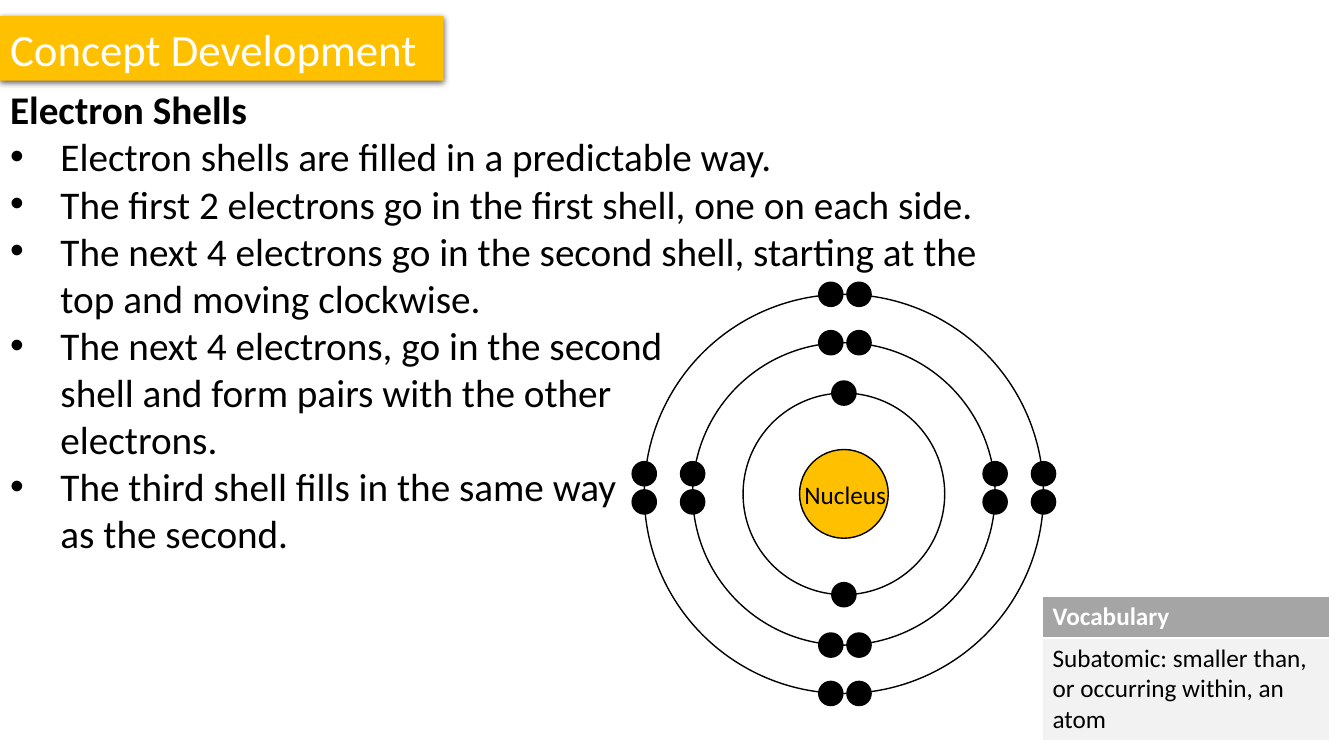
from copy import deepcopy

from lxml import etree
from pptx import Presentation
from pptx.dml.color import RGBColor
from pptx.enum.shapes import MSO_SHAPE as Shape
from pptx.enum.text import MSO_ANCHOR as Anchor, MSO_AUTO_SIZE as AutoSize, PP_ALIGN as Align
from pptx.oxml import parse_xml
from pptx.oxml.ns import qn
from pptx.util import Pt

PX = 9144  # EMU per px, 100 px to the inch
FONT = "Calibri"
COLORS = {"gold": "FFC000", "black": "000000", "white": "FFFFFF",
          "head": "A5A5A5", "cell": "F2F2F2"}
NS = 'xmlns:a="http://schemas.openxmlformats.org/drawingml/2006/main"'
RULES = [
    "Electron shells are filled in a predictable way.",
    "The first 2 electrons go in the first shell, one on each side.",
    "The next 4 electrons go in the second shell, starting at the top and moving clockwise.",
    "The next 4 electrons, go in the second\vshell and form pairs with the other\velectrons.",
    "The third shell fills in the same way\vas the second.",
]


def color(name):
    return RGBColor.from_string(COLORS[name])


def place(part, box):
    part.left, part.top, part.width, part.height = (n * PX for n in box)


def write(paragraph, text, size, ink="black", bold=False, bullet=False):
    """Fill a paragraph; a vertical tab in the text makes a line break."""
    paragraph.text = text
    paragraph.alignment = Align.LEFT
    paragraph.line_spacing = 1.0
    paragraph.space_before = paragraph.space_after = Pt(0)
    props = paragraph._p.get_or_add_pPr()
    indent = 50 * PX if bullet else 0
    props.set("marL", str(indent))
    props.set("indent", str(-indent))
    if bullet:
        etree.SubElement(props, qn("a:buFont")).set("typeface", "Arial")
        etree.SubElement(props, qn("a:buChar")).set("char", "•")
    else:
        etree.SubElement(props, qn("a:buNone"))
    for run in paragraph.runs:
        run.font.name, run.font.size, run.font.bold = FONT, Pt(size), bold
        run.font.color.rgb = color(ink)
    # Line breaks take the size of the text around them
    for line_break in paragraph._p.findall(qn("a:br")):
        line_break.append(deepcopy(paragraph.runs[0]._r.rPr))


def frame_of(part, wrap=True, anchor=Anchor.TOP):
    frame = part.text_frame
    frame.word_wrap, frame.auto_size, frame.vertical_anchor = wrap, AutoSize.NONE, anchor
    return frame


def banner(title, box):
    """Title on a gold arrow with a soft shadow below."""
    place(title, box)
    props = title._element.spPr
    props.append(parse_xml(f'<a:prstGeom {NS} prst="homePlate"><a:avLst/></a:prstGeom>'))
    title.fill.solid()
    title.fill.fore_color.rgb = color("gold")
    props.append(parse_xml(
        f'<a:effectLst {NS}><a:outerShdw blurRad="57150" dist="19050" dir="5400000"'
        ' algn="ctr" rotWithShape="0"><a:srgbClr val="000000"><a:alpha val="63000"/>'
        '</a:srgbClr></a:outerShdw></a:effectLst>'))
    frame = frame_of(title, wrap=False, anchor=Anchor.MIDDLE)
    write(frame.paragraphs[0], "Concept Development", size=32, ink="white")


def lesson(body, box):
    """Heading and bulleted rules."""
    place(body, box)
    frame = frame_of(body)
    write(frame.paragraphs[0], "Electron Shells", size=28, bold=True)
    for rule in RULES:
        write(frame.add_paragraph(), rule, size=28, bullet=True)


def vocabulary(slide, box):
    rows = [("Vocabulary", "head", "white", True, 41),
            ("Subatomic: smaller than, or occurring within, an atom", "cell", "black", False, 100)]
    table = slide.shapes.add_table(len(rows), 1, *(n * PX for n in box)).table
    table.horz_banding = False
    for index, (text, fill, ink, bold, height) in enumerate(rows):
        table.rows[index].height = height * PX
        cell = table.cell(index, 0)
        cell.fill.solid()
        cell.fill.fore_color.rgb = color(fill)
        write(cell.text_frame.paragraphs[0], text, size=18, ink=ink, bold=bold)


def circle(slide, x, y, radius, fill=None):
    disc = slide.shapes.add_shape(Shape.OVAL, (x - radius) * PX, (y - radius) * PX,
                                  2 * radius * PX, 2 * radius * PX)
    disc.shadow.inherit = False
    disc.line.color.rgb = color("black")
    disc.line.width = Pt(1)
    if fill:
        disc.fill.solid()
        disc.fill.fore_color.rgb = color(fill)
    else:
        disc.fill.background()


def atom(slide, box):
    """Nucleus, three shells and their electrons, centred in the box."""
    left, top, width, height = box
    x, y = left + width // 2, top + height // 2
    outer = width // 2
    shells = [outer - 98, outer - 48, outer]
    pair_x, pair_y, half_gap = x + 1, y - 6, 14

    # Electrons: two on the first shell, four pairs on the others
    electrons = [(x, y - shells[0]), (x, y + shells[0])]
    for radius in shells[1:]:
        for side in (-1, 1):
            for shift in (-half_gap, half_gap):
                electrons.append((pair_x + shift, y + side * radius))
                electrons.append((x + side * radius, pair_y + shift))
    for electron_x, electron_y in electrons:
        circle(slide, electron_x, electron_y, 12, "black")

    # Nucleus and shells
    circle(slide, x, y, 44, "gold")
    for radius in shells:
        circle(slide, x, y, radius)
    label = slide.shapes.add_textbox((x - 49) * PX, (y - 19) * PX, 102 * PX, 40 * PX)
    write(frame_of(label, wrap=False).paragraphs[0], "Nucleus", size=18)


def main():
    deck = Presentation()
    deck.slide_width, deck.slide_height = 1333 * PX, 750 * PX
    slide = deck.slides.add_slide(deck.slide_layouts[1])
    banner(slide.shapes.title, (0, 16, 440, 64))
    lesson(slide.placeholders[1], (0, 80, 1036, 528))
    vocabulary(slide, (1034, 592, 285, 141))
    atom(slide, (639, 292, 396, 396))
    deck.save("out.pptx")


if __name__ == "__main__":
    main()
